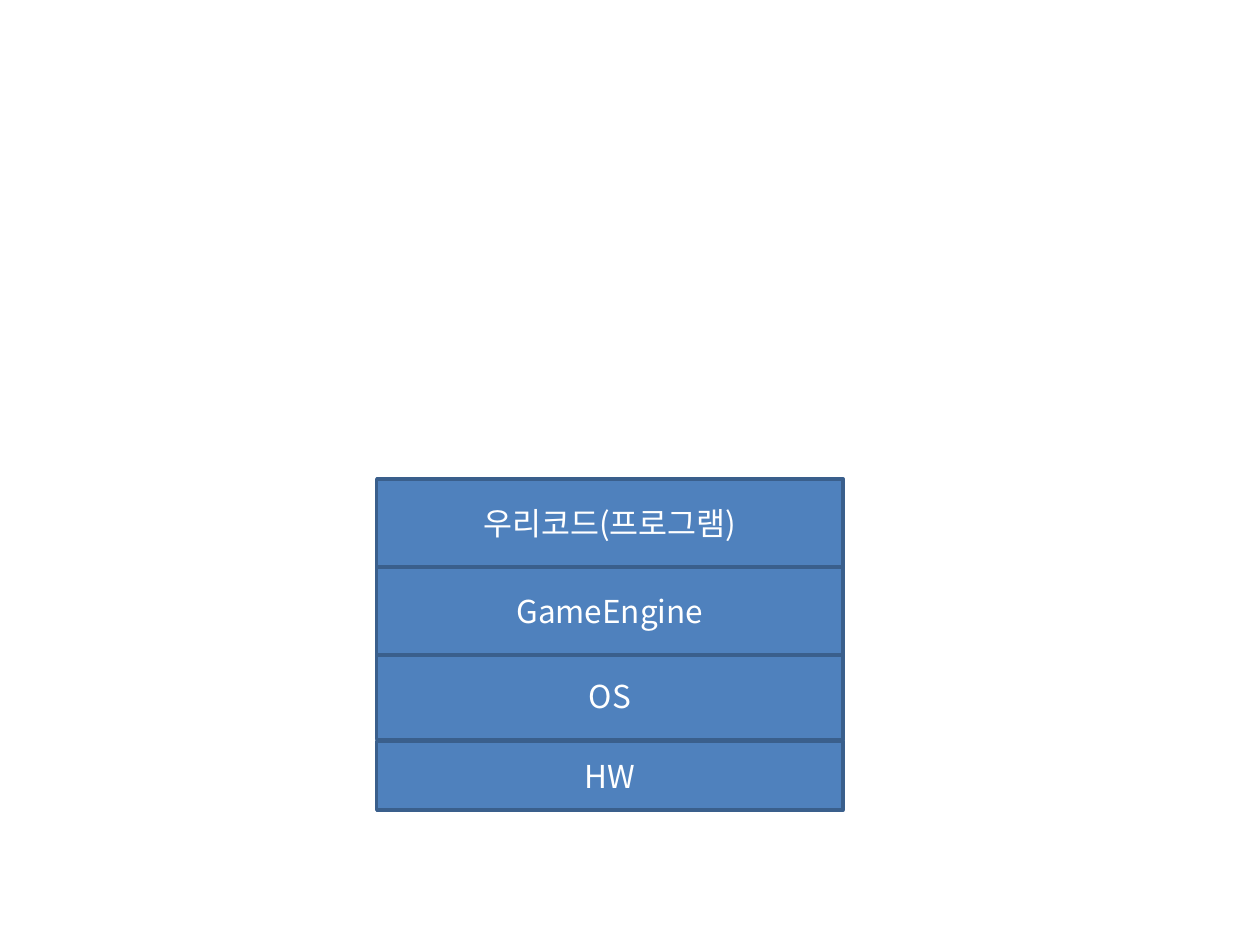
from typing import NamedTuple

from lxml import etree
from pptx import Presentation
from pptx.dml.color import RGBColor
from pptx.enum import shapes, text
from pptx.oxml import ns
from pptx.util import Inches, Pt

FONT = "Noto Sans CJK KR"
LEFT, WIDTH = 2.99, 3.7


class Layer(NamedTuple):
    label: str
    top: float
    height: float = 0.7


# Bottom layer first, so that each one overlaps the layer below it.
LAYERS = [
    Layer("HW", 5.88, 0.55),
    Layer("OS", 5.17),
    Layer("GameEngine", 4.5),
    Layer("우리코드(프로그램)", 3.8),
]


def color(code: str) -> RGBColor:
    return RGBColor.from_string(code)


def write(frame, label: str, *, size: float = 18, ink: str = "FFFFFF",
          font: str = FONT) -> None:
    """Put one centred line of text in a frame."""
    frame.word_wrap = True
    frame.vertical_anchor = text.MSO_ANCHOR.MIDDLE
    line = frame.paragraphs[0]
    line.alignment = text.PP_ALIGN.CENTER
    run = line.add_run()
    run.text = label
    run.font.size = Pt(size)
    run.font.color.rgb = color(ink)
    run.font.name = font
    # Hangul takes its font from the East Asian slot.
    etree.SubElement(run.font._element, ns.qn("a:ea"), typeface=font)


def draw(slide, layer: Layer) -> None:
    box = slide.shapes.add_shape(
        shapes.MSO_SHAPE.RECTANGLE, Inches(LEFT), Inches(layer.top),
        Inches(WIDTH), Inches(layer.height))
    box.shadow.inherit = False
    box.fill.solid()
    box.fill.fore_color.rgb = color("4F81BD")
    box.line.color.rgb = color("3A5F8C")
    box.line.width = Pt(2)
    write(box.text_frame, layer.label)


def main() -> None:
    deck = Presentation()
    deck.slide_width, deck.slide_height = Inches(10), Inches(7.5)
    slide = deck.slides.add_slide(deck.slide_layouts[6])
    for layer in LAYERS:
        draw(slide, layer)
    deck.save("out.pptx")


if __name__ == "__main__":
    main()
